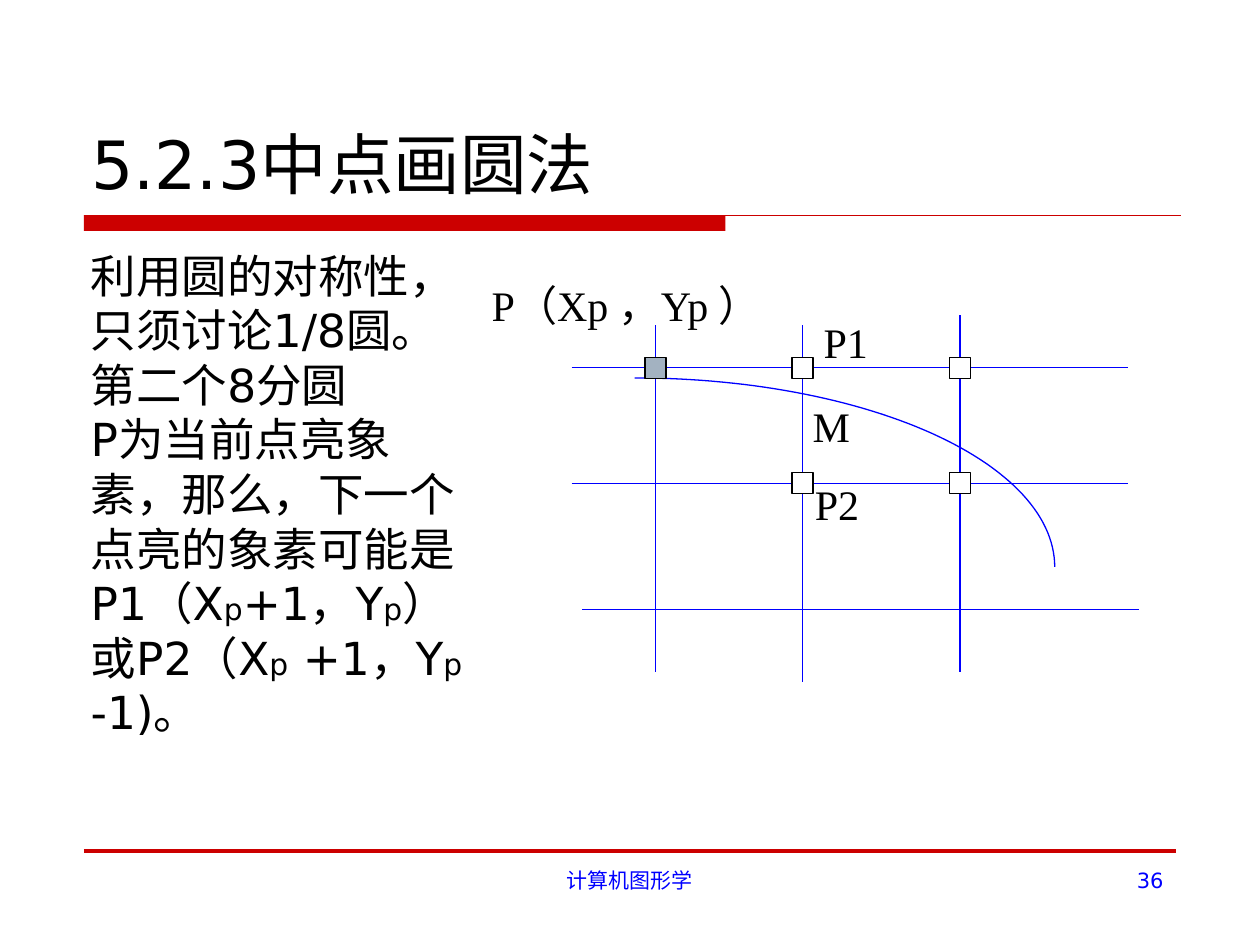
from dataclasses import dataclass
from math import cos, pi, sin

from lxml import etree
from pptx import Presentation
from pptx.dml.color import RGBColor
from pptx.enum.shapes import MSO_CONNECTOR, MSO_SHAPE
from pptx.enum.text import MSO_ANCHOR, PP_ALIGN
from pptx.oxml.ns import qn
from pptx.slide import Slide
from pptx.util import Inches, Length, Pt

STRAIGHT = MSO_CONNECTOR.STRAIGHT
RECTANGLE = MSO_SHAPE.RECTANGLE
LEFT, CENTER, RIGHT = PP_ALIGN.LEFT, PP_ALIGN.CENTER, PP_ALIGN.RIGHT
TOP, BOTTOM = MSO_ANCHOR.TOP, MSO_ANCHOR.BOTTOM
CELLS_PER_INCH = 24


@dataclass(frozen=True)
class Theme:
    black: str = "000000"
    white: str = "FFFFFF"
    red: str = "CC0000"
    blue: str = "0000FF"
    gray: str = "A3B2C1"
    sans: str = "DejaVu Sans"
    serif: str = "Times New Roman"
    title: float = 38
    body: float = 26
    subscript: float = 17
    label: float = 24
    footer: float = 12
    thin: float = 0.75
    thick: float = 2.25


@dataclass(frozen=True)
class Area:
    column: float
    row: float
    columns: float
    rows: float


@dataclass(frozen=True)
class Segment:
    column: float
    row: float
    end_column: float
    end_row: float


@dataclass(frozen=True)
class Label:
    text: str
    area: Area


@dataclass(frozen=True)
class Span:
    text: str
    size: float


THEME = Theme()
PIXEL_COLUMNS = (124.85, 152.85, 182.85)
PIXEL_ROWS = (70.05, 92.05)
PIXEL_SIZE = 4
GRID_LINES = (
    Segment(108.9, PIXEL_ROWS[0], 214.8, PIXEL_ROWS[0]),
    Segment(108.9, PIXEL_ROWS[1], 214.8, PIXEL_ROWS[1]),
    Segment(110.9, 116.05, 216.9, 116.05),
    Segment(PIXEL_COLUMNS[0], 62, PIXEL_COLUMNS[0], 128),
    Segment(PIXEL_COLUMNS[1], 62, PIXEL_COLUMNS[1], 130),
    Segment(PIXEL_COLUMNS[2], 60, PIXEL_COLUMNS[2], 128),
)
LABELS = (
    Label("M", Area(152.4, 75.15, 11.8, 12)),
    Label("P1", Area(154.5, 59.15, 13.2, 12)),
    Label("P2", Area(152.85, 90, 13.2, 12)),
    Label("P（Xp ，Yp ）", Area(91.3, 52.1, 66.2, 12)),
)
SUBSCRIPT = Span("p", THEME.subscript)
BODY = (
    (Span("利用圆的对称性，只须讨论1/8圆。第二个8分圆", THEME.body),),
    (
        Span("P为当前点亮象素，那么，下一个点亮的象素可能是P1（X", THEME.body),
        SUBSCRIPT,
        Span("+1，Y", THEME.body),
        SUBSCRIPT,
        Span("）或P2（X", THEME.body),
        SUBSCRIPT,
        Span(" +1，Y", THEME.body),
        SUBSCRIPT,
        Span(" -1)。", THEME.body),
    ),
)


def cells(count: float) -> Length:
    return Inches(count / CELLS_PER_INCH)


def place(area: Area) -> tuple[Length, ...]:
    return tuple(map(cells, (area.column, area.row, area.columns, area.rows)))


def add_paragraphs(page: Slide, paragraphs: tuple[tuple[Span, ...], ...], area: Area, *,
                   font: str = THEME.sans, color: str = THEME.black,
                   align: PP_ALIGN = LEFT, anchor: MSO_ANCHOR = TOP, wrap: bool = True) -> None:
    frame = page.shapes.add_textbox(*place(area)).text_frame
    frame.word_wrap = wrap
    frame.vertical_anchor = anchor
    for index, spans in enumerate(paragraphs):
        para = frame.add_paragraph() if index else frame.paragraphs[0]
        para.alignment = align
        para._p.get_or_add_pPr().set("hangingPunct", "0")
        for span in spans:
            run = para.add_run()
            run.text = span.text
            run.font.name = font
            run.font.size = Pt(span.size)
            run.font.color.rgb = RGBColor.from_string(color)


def add_text(page: Slide, text: str, area: Area, *, size: float, **style) -> None:
    add_paragraphs(page, ((Span(text, size),),), area, **style)


def add_line(page: Slide, segment: Segment, color: str, width: float) -> None:
    line = page.shapes.add_connector(
        STRAIGHT, cells(segment.column), cells(segment.row),
        cells(segment.end_column), cells(segment.end_row))
    line.line.color.rgb = RGBColor.from_string(color)
    line.line.width = Pt(width)
    etree.SubElement(line.element.spPr, qn("a:effectLst"))


def add_box(page: Slide, area: Area, fill: str, outline: str | None = None) -> None:
    box = page.shapes.add_shape(RECTANGLE, *place(area))
    box.shadow.inherit = False
    box.fill.solid()
    box.fill.fore_color.rgb = RGBColor.from_string(fill)
    if outline is None:
        box.line.fill.background()
    else:
        box.line.color.rgb = RGBColor.from_string(outline)
        box.line.width = Pt(THEME.thin)


def add_quarter_arc(page: Slide, area: Area, steps: int = 60) -> None:
    angles = [pi / 2 * step / steps for step in range(steps + 1)]
    points = [(cells(area.column + area.columns * sin(angle)),
               cells(area.row + area.rows * (1 - cos(angle)))) for angle in angles]
    builder = page.shapes.build_freeform(*points[0])
    builder.add_line_segments(points[1:], close=False)
    arc = builder.convert_to_shape()
    arc.shadow.inherit = False
    arc.fill.background()
    arc.line.color.rgb = RGBColor.from_string(THEME.blue)
    arc.line.width = Pt(THEME.thin)


def add_frame(page: Slide) -> None:
    add_box(page, Area(16, 41, 122.2, 3), THEME.red)
    add_line(page, Segment(16, 41.05, 225, 41.05), THEME.red, THEME.thin)
    add_line(page, Segment(16, 162.05, 224, 162.05), THEME.red, THEME.thick)
    add_text(page, "计算机图形学", Area(81.9, 164, 76, 12.5),
             size=THEME.footer, color=THEME.blue, align=CENTER)
    add_text(page, "36", Area(172, 164, 52, 12.5),
             size=THEME.footer, color=THEME.blue, align=RIGHT)


def add_circle_diagram(page: Slide) -> None:
    for segment in GRID_LINES:
        add_line(page, segment, THEME.blue, THEME.thin)
    add_quarter_arc(page, Area(120.9, 72, 80, 36))
    current = (PIXEL_COLUMNS[0], PIXEL_ROWS[0])
    candidates = [(column, row) for row in PIXEL_ROWS for column in PIXEL_COLUMNS[1:]]
    for column, row in [current, *candidates]:
        fill = THEME.gray if (column, row) == current else THEME.white
        area = Area(column - PIXEL_SIZE / 2, row - PIXEL_SIZE / 2, PIXEL_SIZE, PIXEL_SIZE)
        add_box(page, area, fill, THEME.black)
    for label in LABELS:
        add_text(page, label.text, label.area, size=THEME.label, font=THEME.serif, wrap=False)


def main() -> None:
    deck = Presentation()
    deck.slide_width, deck.slide_height = Inches(10), Inches(7.5)
    page = deck.slides.add_slide(deck.slide_layouts[6])
    add_frame(page)
    add_text(page, "5.2.3中点画圆法", Area(15, 7.9, 210, 32), size=THEME.title, anchor=BOTTOM)
    add_paragraphs(page, BODY, Area(14.9, 46, 77, 112))
    add_circle_diagram(page)
    deck.save("out.pptx")


if __name__ == "__main__":
    main()
